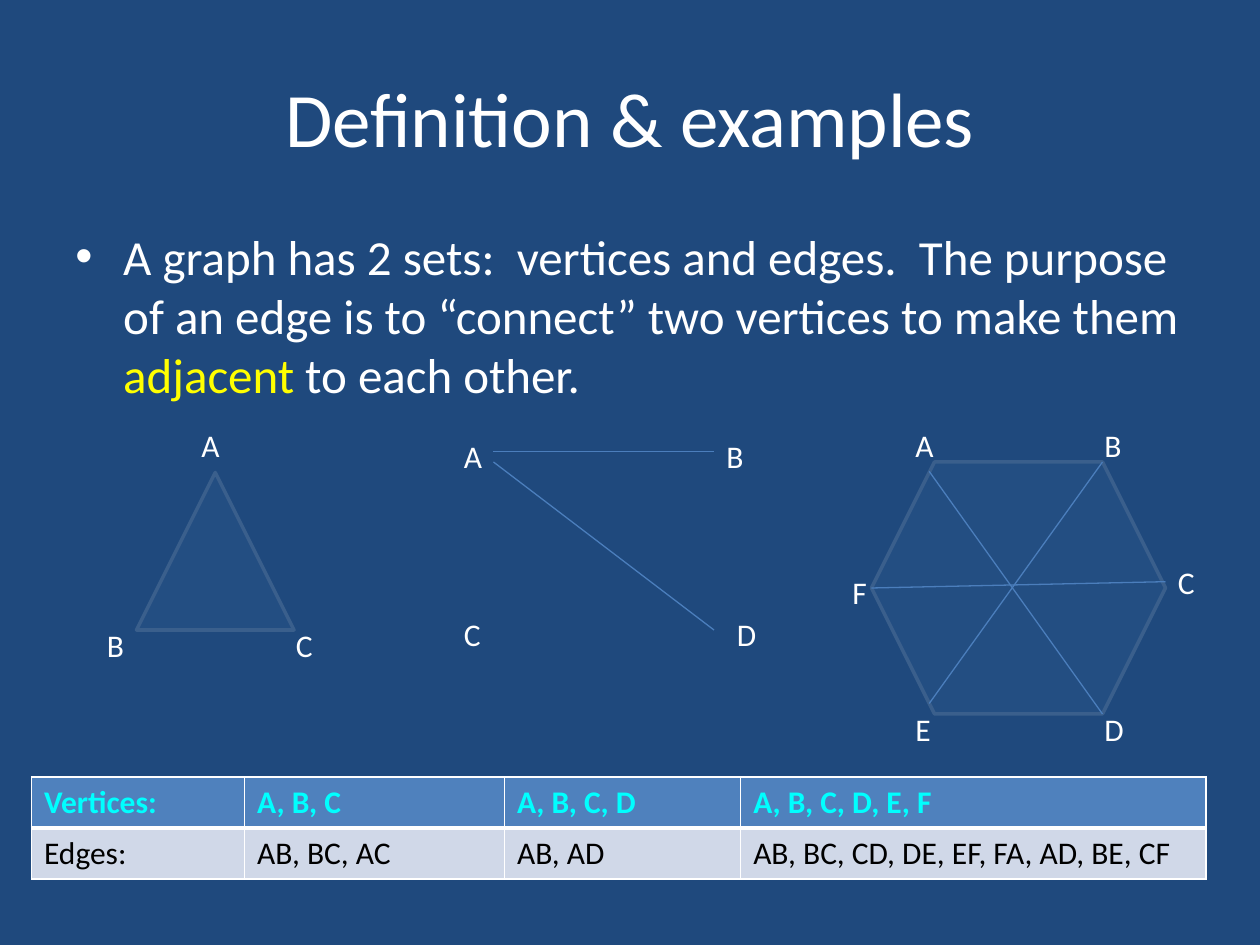
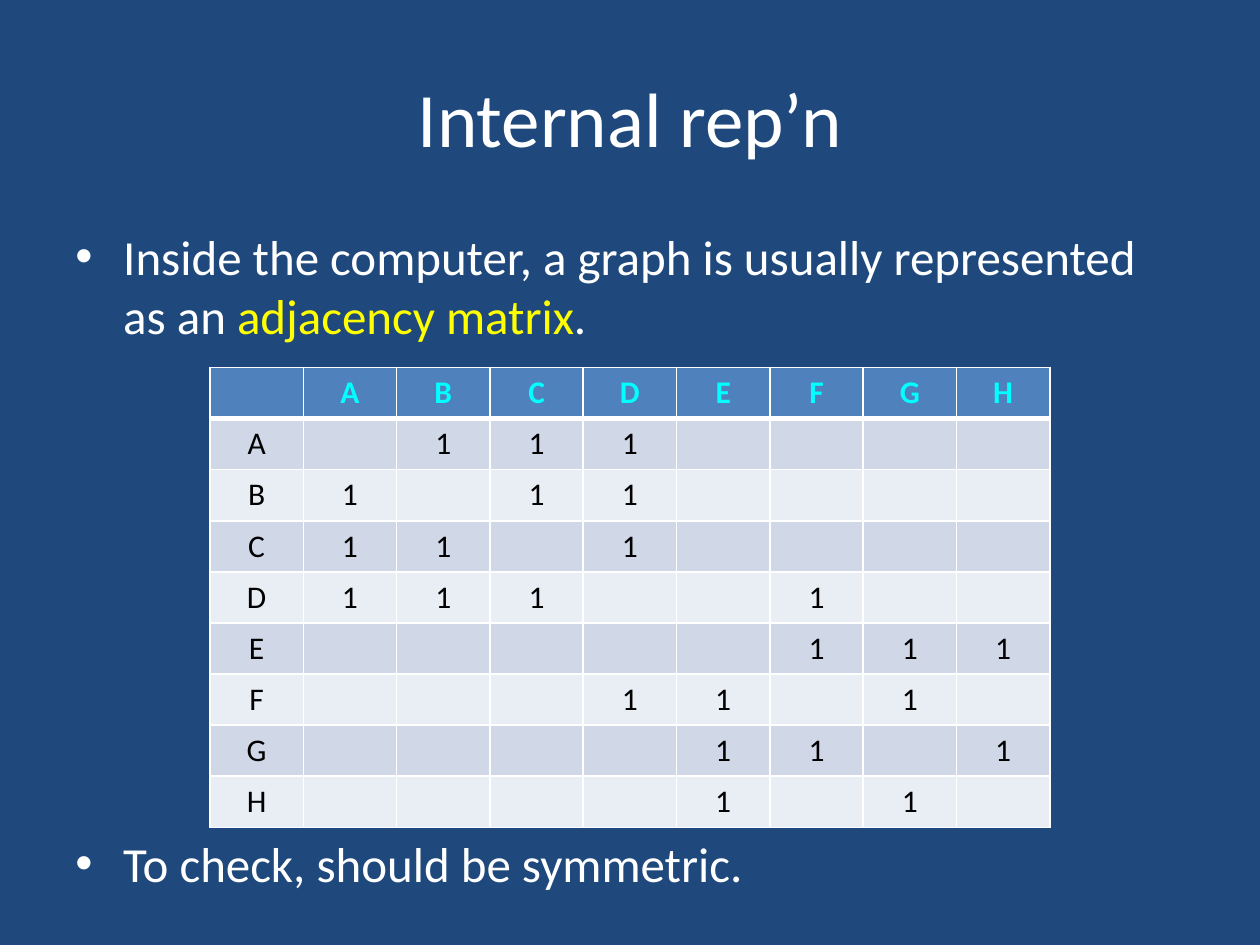
"""Build two slides about graphs: definition with examples, and the adjacency matrix."""
from lxml.etree import SubElement
from pptx import Presentation
from pptx.dml.color import RGBColor
from pptx.enum.shapes import MSO_CONNECTOR as Connector, MSO_SHAPE as Preset
from pptx.enum.text import MSO_ANCHOR as Anchor, PP_ALIGN as Align
from pptx.oxml.ns import qn
from pptx.util import Emu, Inches, Pt

FONT = "Calibri"
COLORS = {
    "background": "1F497D", "text": "FFFFFF", "term": "FFFF00", "header_text": "00FFFF",
    "cell_text": "000000", "header": "4F81BD", "band_dark": "D0D8E8", "band_light": "E9EDF4",
    "border": "FFFFFF", "outline": "3A5F8C", "edge": "4B7EBC",
}
WIDTH, HEIGHT = Inches(10), Inches(7.5)
UNIT = WIDTH / 120
ROW_HEIGHT = 4.87
LABEL_SIZE = (5, 4.8)

DEFINITION = [("A graph has 2 sets:  vertices and edges.  The purpose of an edge is to “connect” "
               "two vertices to make them ", "text"),
              ("adjacent", "term"), (" to each other.", "text")]
OUTLINES = [(Preset.ISOSCELES_TRIANGLE, (13, 45, 15, 15)), (Preset.HEXAGON, (83, 44, 28, 24))]
VERTEX_LABELS = [
    {"A": (18, 40), "B": (9, 59), "C": (27, 59)},
    {"A": (43, 41), "B": (68, 41), "C": (43, 58), "D": (69, 58)},
    {"A": (86, 40), "B": (104, 40), "C": (111, 53), "D": (104, 67), "E": (86, 67), "F": (80, 54)},
]
EDGE_LINES = [
    ((47, 43), (68, 43)), ((47, 44), (68, 60)),
    ((88.5, 44.9), (105, 68)), ((83, 56), (111, 55.4)), ((105, 44), (88.5, 67)),
]
SETS_TABLE = [
    ["Vertices:", "A, B, C", "A, B, C, D", "A, B, C, D, E, F"],
    ["Edges:", "AB, BC, AC", "AB, AD", "AB, BC, CD, DE, EF, FA, AD, BE, CF"],
]
SETS_COLUMNS = [20.3, 24.75, 22.5, 44.3]

REPRESENTATION = [("Inside the computer, a graph is usually represented as an ", "text"),
                  ("adjacency matrix", "term"), (".", "text")]
CHECK = [("To check, should be symmetric.", "text")]
MATRIX_VERTICES = "ABCDEFGH"
MATRIX_EDGES = ["AB", "AC", "AD", "BC", "BD", "CD", "DF", "EF", "EG", "EH", "FG", "GH"]


def color(name):
    """Return the named colour."""
    return RGBColor.from_string(COLORS[name])


def grid(*lengths):
    """Turn grid units into slide lengths."""
    return [Emu(round(length * UNIT)) for length in lengths]


def write(frame, parts, size=18, bold=False, align=Align.LEFT, bullet=False):
    """Write coloured runs into the first paragraph of a text frame."""
    frame.word_wrap = True
    paragraph = frame.paragraphs[0]
    paragraph.alignment = align
    if bullet:
        properties = paragraph._p.get_or_add_pPr()
        properties.set("marL", str(Inches(0.38)))
        properties.set("indent", str(-Inches(0.38)))
        SubElement(properties, qn("a:buFont"), typeface="Arial")
        SubElement(properties, qn("a:buChar"), char="•")
    for text, tone in parts:
        run = paragraph.add_run()
        run.text = text
        run.font.name, run.font.size, run.font.bold = FONT, Pt(size), bold
        run.font.color.rgb = color(tone)


def add_text(slide, box, parts, **style):
    """Add a text box at a place on the grid."""
    write(slide.shapes.add_textbox(*grid(*box)).text_frame, parts, **style)


def add_titled_slide(presentation, title):
    """Add a title-only slide with the shared title style."""
    slide = presentation.slides.add_slide(presentation.slide_layouts[5])
    shape = slide.shapes.title
    shape.left, shape.top, shape.width, shape.height = grid(6, 3.6, 108, 15)
    shape.text_frame.vertical_anchor = Anchor.MIDDLE
    write(shape.text_frame, [(title, "text")], size=44, align=Align.CENTER)
    return slide


def add_outline(slide, preset, box):
    """Add a faintly filled graph outline."""
    shape = slide.shapes.add_shape(preset, *grid(*box))
    shape.shadow.inherit = False
    shape.fill.solid()
    shape.fill.fore_color.rgb = color("header")
    fill_color = shape._element.spPr.find(qn("a:solidFill"))[0]
    SubElement(fill_color, qn("a:alpha"), val="9000")
    shape.line.color.rgb = color("outline")
    shape.line.width = Pt(2)


def add_edge(slide, start, end):
    """Add a thin line between two grid points."""
    line = slide.shapes.add_connector(Connector.STRAIGHT, *grid(*start, *end))
    line.line.color.rgb = color("edge")
    line.line.width = Pt(0.75)
    SubElement(line._element.spPr, qn("a:effectLst"))


def set_borders(cell, top, bottom):
    """Draw the four borders of a cell, with top and bottom widths in points."""
    properties = cell._tc.get_or_add_tcPr()
    for side, width in (("L", 1), ("R", 1), ("T", top), ("B", bottom)):
        line = SubElement(properties, qn(f"a:ln{side}"), w=str(Pt(width)))
        fill = SubElement(line, qn("a:solidFill"))
        SubElement(fill, qn("a:srgbClr"), val=COLORS["border"])


def add_banded_table(slide, left, top, columns, rows, align=Align.LEFT):
    """Add a table with a header row and alternating bands."""
    box = grid(left, top, sum(columns), ROW_HEIGHT * len(rows))
    table = slide.shapes.add_table(len(rows), len(columns), *box).table
    for column, width in zip(table.columns, grid(*columns)):
        column.width = width
    for row_index, texts in enumerate(rows):
        header = row_index == 0
        band = "header" if header else ("band_light", "band_dark")[row_index % 2]
        tone = "header_text" if header else "cell_text"
        for column_index, text in enumerate(texts):
            cell = table.cell(row_index, column_index)
            set_borders(cell, 3 if row_index == 1 else 1, 3 if header else 1)
            cell.fill.solid()
            cell.fill.fore_color.rgb = color(band)
            if text:
                write(cell.text_frame, [(text, tone)], bold=header, align=align)


def build_definition(presentation):
    """Build the slide with the definition and three example graphs."""
    slide = add_titled_slide(presentation, "Definition & examples")
    add_text(slide, (6, 21, 108, 18), DEFINITION, size=28, bullet=True)
    for preset, box in OUTLINES:
        add_outline(slide, preset, box)
    for start, end in EDGE_LINES:
        add_edge(slide, start, end)
    for labels in VERTEX_LABELS:
        for vertex, place in labels.items():
            add_text(slide, place + LABEL_SIZE, [(vertex, "text")])
    add_banded_table(slide, 3, 74, SETS_COLUMNS, SETS_TABLE)


def build_matrix(presentation):
    """Build the slide with the adjacency matrix."""
    slide = add_titled_slide(presentation, "Internal rep’n")
    add_text(slide, (6, 21, 108, 12), REPRESENTATION, size=28, bullet=True)
    add_text(slide, (6, 78.75, 108, 7), CHECK, size=28, bullet=True)
    rows = [["", *MATRIX_VERTICES]]
    for vertex in MATRIX_VERTICES:
        marks = ["1" if vertex + other in MATRIX_EDGES or other + vertex in MATRIX_EDGES else ""
                 for other in MATRIX_VERTICES]
        rows.append([vertex, *marks])
    columns = [80 / len(rows)] * len(rows)
    add_banded_table(slide, 20, 35, columns, rows, align=Align.CENTER)


def main():
    """Build and save the presentation."""
    presentation = Presentation()
    presentation.slide_width, presentation.slide_height = WIDTH, HEIGHT
    background = presentation.slide_master.background.fill
    background.solid()
    background.fore_color.rgb = color("background")
    build_definition(presentation)
    build_matrix(presentation)
    presentation.save("out.pptx")


if __name__ == "__main__":
    main()
